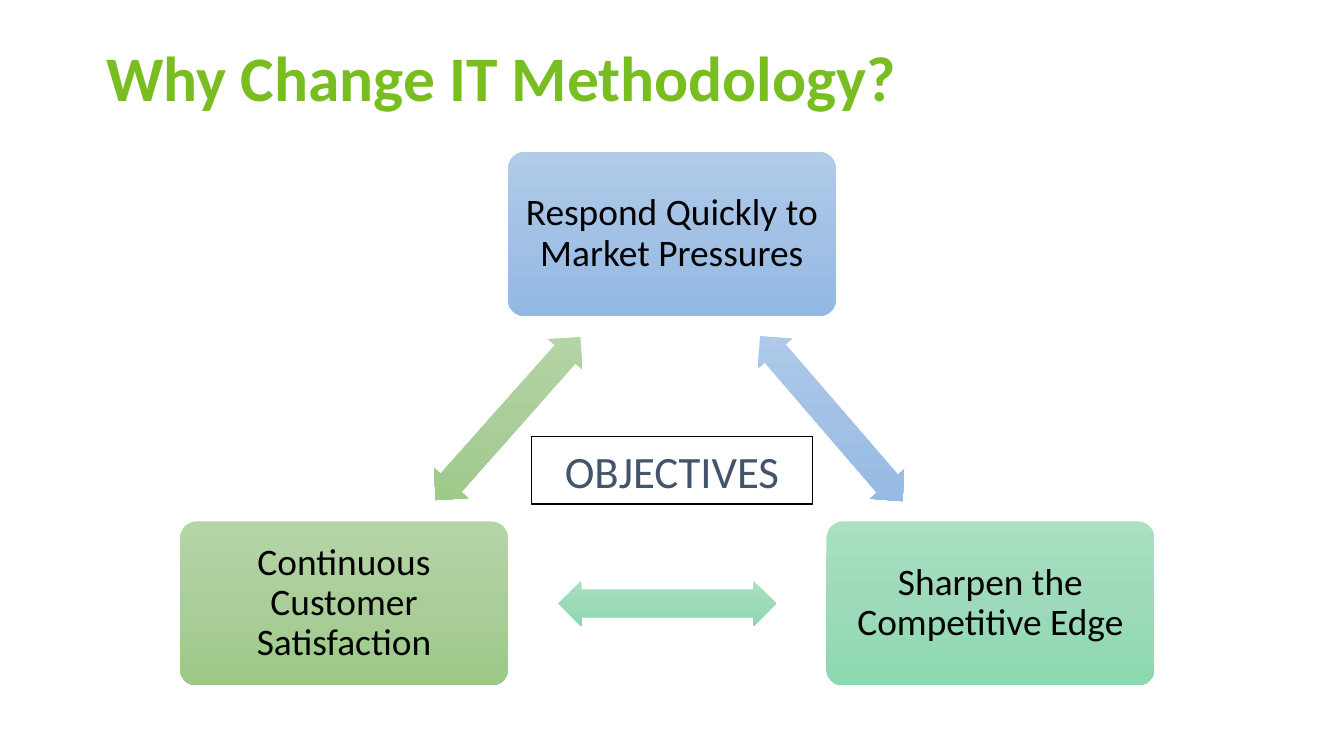
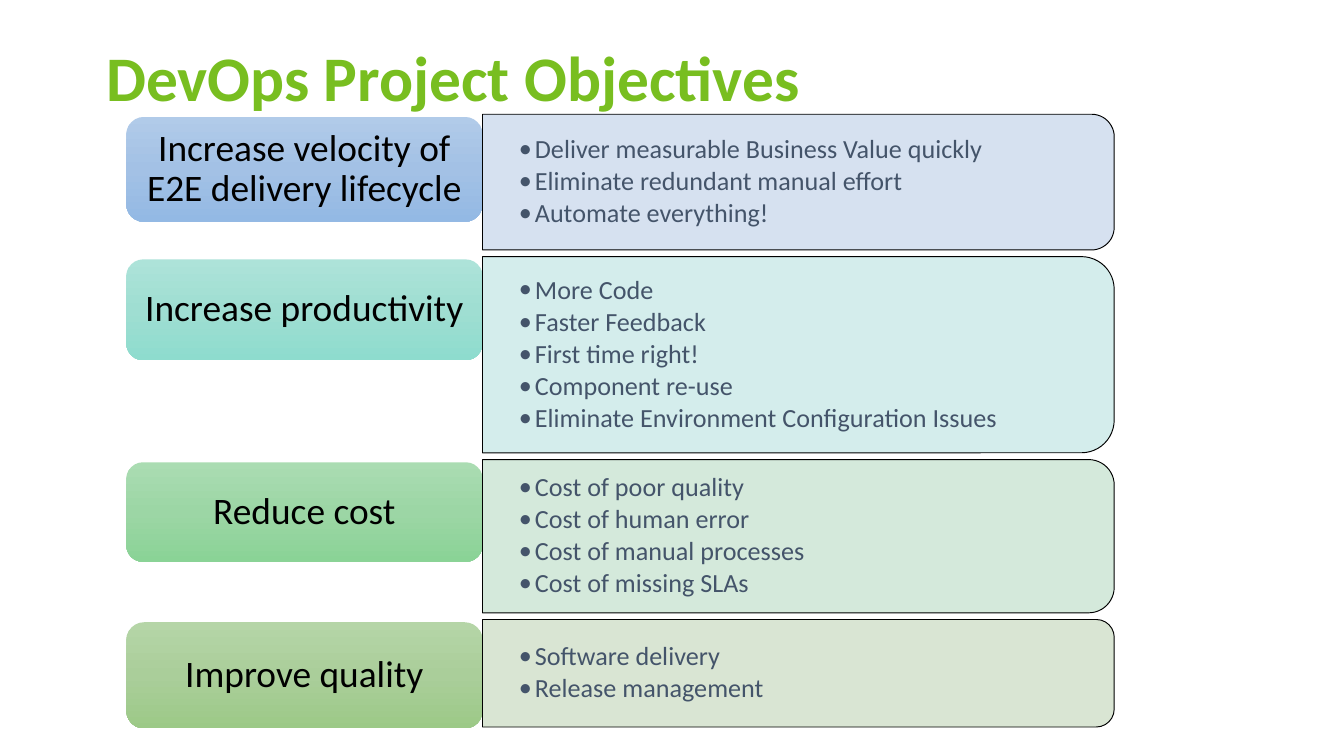
from math import atan2, degrees

from pptx import Presentation
from pptx.dml.color import RGBColor
from pptx.enum.shapes import MSO_SHAPE as SHAPE
from pptx.enum.text import MSO_ANCHOR as ANCHOR, MSO_AUTO_SIZE as AUTO, PP_ALIGN as ALIGN
from pptx.oxml import parse_xml
from pptx.oxml.ns import nsdecls
from pptx.oxml.xmlchemy import OxmlElement
from pptx.util import Inches, Pt

COLORS = {"title": "78BE20", "label": "000000", "body": "44546A", "line": "000000"}
GRADIENTS = {
    "blue": ("B1CBE9", "A3C1E5", "93B9E4"),
    "mint": ("ABE0C3", "9DDAB9", "8CD8AF"),
    "teal": ("ADE3D9", "9FDED2", "8EDCCE"),
    "green": ("AADCB2", "9CD6A5", "8AD396"),
    "olive": ("B5D5A7", "AACE9A", "9CC987"),
}
FONTS = {
    "title": {"size": Pt(34), "name": "Calibri", "bold": True},
    "label": {"size": Pt(20), "name": "Calibri"},
    "center": {"size": Pt(24), "name": "Calibri"},
    "body": {"size": Pt(14), "name": "Calibri"},
}

DRIVERS_TITLE = "Why Change IT Methodology?"
DRIVERS = [
    ("Respond Quickly to Market Pressures", "blue", 5, 1.74),
    ("Sharpen the Competitive Edge", "mint", 7.37, 4.49),
    ("Continuous Customer Satisfaction", "olive", 2.56, 4.49),
]
DRIVER_SIZE = (2.44, 1.22)
ARROW_SIZE = (1.62, 0.34)
CENTER_TEXT = "OBJECTIVES"

GOALS_TITLE = "DevOps Project Objectives"
GOALS = [
    ("Increase velocity of E2E delivery lifecycle", "blue", "D2DEEF", 1.01, 0.78,
     ["Deliver measurable Business Value quickly", "Eliminate redundant manual effort",
      "Automate everything!"]),
    ("Increase productivity", "teal", "D0ECEA", 1.46, 0.75,
     ["More Code", "Faster Feedback", "First time right!", "Component re-use",
      "Eliminate Environment Configuration Issues"]),
    ("Reduce cost", "green", "D0E7D8", 1.14, 0.74,
     ["Cost of poor quality", "Cost of human error", "Cost of manual processes",
      "Cost of missing SLAs"]),
    ("Improve quality", "olive", "D5E3CF", 0.8, 0.79,
     ["Software delivery", "Release management"]),
]
GOALS_TOP, GOALS_GAP = 0.85, 0.05
LABEL_LEFT, LABEL_WIDTH, LABEL_DROP, BAR_WIDTH = 0.94, 2.65, 0.02, 4.7


def assign(obj, values):
    for key, value in values.items():
        setattr(obj, key, value)


def frame(tf, x_inset, y_inset, anchor=ANCHOR.MIDDLE):
    assign(tf, {"word_wrap": True, "auto_size": AUTO.NONE, "vertical_anchor": anchor,
                "margin_left": Inches(x_inset), "margin_right": Inches(x_inset),
                "margin_top": Inches(y_inset), "margin_bottom": Inches(y_inset)})


def write(p, text, font, color, **layout):
    r = p.add_run()
    r.text = text
    assign(r.font, FONTS[font])
    r.font.color.rgb = RGBColor.from_string(COLORS[color])
    assign(p, layout)


def add_shape(s, kind, cx, cy, w, h, line=None, rotation=0):
    sp = s.shapes.add_shape(kind, *map(Inches, (cx - w / 2, cy - h / 2, w, h)))
    sp.rotation = rotation
    sp.shadow.inherit = False
    if line:
        sp.line.color.rgb = RGBColor.from_string(COLORS["line"])
        sp.line.width = Pt(line)
    else:
        sp.line.fill.background()
    return sp


def shade(sp, gradient):
    stops = "".join(f'<a:gs pos="{i * 50000}"><a:srgbClr val="{c}"/></a:gs>'
                    for i, c in enumerate(GRADIENTS[gradient]))
    sp._element.spPr.insert(2, parse_xml(
        f'<a:gradFill {nsdecls("a")} rotWithShape="0"><a:gsLst>{stops}</a:gsLst>'
        '<a:lin ang="5400000" scaled="0"/></a:gradFill>'))


def add_card(s, text, gradient, cx, cy, w, h, y_inset, corner=None):
    sp = add_shape(s, SHAPE.ROUNDED_RECTANGLE, cx, cy, w, h)
    if corner:
        sp.adjustments[0] = corner
    shade(sp, gradient)
    frame(sp.text_frame, 0.08, y_inset)
    write(sp.text_frame.paragraphs[0], text, "label", "label",
          alignment=ALIGN.CENTER, line_spacing=0.9)


def add_bar(s, fill, top, h):
    left = LABEL_LEFT + LABEL_WIDTH
    sp = add_shape(s, SHAPE.ROUND_2_SAME_RECTANGLE, left + BAR_WIDTH / 2, top + h / 2,
                   h, BAR_WIDTH, line=0.5, rotation=90)
    sp.fill.solid()
    sp.fill.fore_color.rgb = RGBColor.from_string(fill)
    alpha = OxmlElement("a:alpha")
    alpha.set("val", "90000")
    sp.fill._xPr.solidFill[0].append(alpha)


def add_bullets(s, items, top, h):
    inset = h * 0.05
    box = s.shapes.add_textbox(*map(Inches, (LABEL_LEFT + LABEL_WIDTH, top + inset,
                                             BAR_WIDTH - inset, h - 2 * inset)))
    tf = box.text_frame
    frame(tf, 0.27, 0.14)
    for i, item in enumerate(items):
        p = tf.add_paragraph() if i else tf.paragraphs[0]
        write(p, item, "body", "body", level=1, alignment=ALIGN.LEFT,
              line_spacing=0.9, space_after=Pt(2))
        pPr = p._p.get_or_add_pPr()
        pPr.set("marL", str(Inches(0.12)))
        pPr.set("indent", str(-Inches(0.12)))
        for tag, key, value in (("a:buFont", "typeface", "Calibri"), ("a:buChar", "char", "•")):
            bullet = OxmlElement(tag)
            bullet.set(key, value)
            pPr.append(bullet)


def add_slide(prs, title):
    s = prs.slides.add_slide(prs.slide_layouts[5])
    sp = s.shapes.title
    assign(sp, dict(zip(("left", "top", "width", "height"),
                        map(Inches, (0.69, 0.3, 8.62, 1.09)))))
    frame(sp.text_frame, 0.1, 0.05, ANCHOR.TOP)
    write(sp.text_frame.paragraphs[0], title, "title", "title",
          alignment=ALIGN.LEFT, line_spacing=0.9)
    return s


def build_drivers(prs):
    s = add_slide(prs, DRIVERS_TITLE)
    for i, (text, gradient, x, y) in enumerate(DRIVERS):
        next_x, next_y = DRIVERS[(i + 1) % len(DRIVERS)][2:]
        add_card(s, text, gradient, x, y, *DRIVER_SIZE, y_inset=0.08, corner=0.1)
        arrow = add_shape(s, SHAPE.LEFT_RIGHT_ARROW, (x + next_x) / 2, (y + next_y) / 2,
                          *ARROW_SIZE, rotation=degrees(atan2(next_y - y, next_x - x)) % 360)
        arrow.adjustments[0] = 0.6
        shade(arrow, gradient)
    sp = add_shape(s, SHAPE.RECTANGLE, 5, 3.5, 2.09, 0.5, line=0.75)
    sp.fill.background()
    frame(sp.text_frame, 0.1, 0.05)
    write(sp.text_frame.paragraphs[0], CENTER_TEXT, "center", "body", alignment=ALIGN.CENTER)


def build_goals(prs):
    s = add_slide(prs, GOALS_TITLE)
    top = GOALS_TOP
    for label, gradient, fill, bar_h, label_h, items in GOALS:
        add_bar(s, fill, top, bar_h)
        add_bullets(s, items, top, bar_h)
        add_card(s, label, gradient, LABEL_LEFT + LABEL_WIDTH / 2,
                 top + LABEL_DROP + label_h / 2, LABEL_WIDTH, label_h, y_inset=0.04)
        top += bar_h + GOALS_GAP


def main():
    prs = Presentation()
    prs.slide_width = Inches(10)
    prs.slide_height = prs.slide_width * 9 // 16
    build_drivers(prs)
    build_goals(prs)
    prs.save("out.pptx")


if __name__ == "__main__":
    main()
